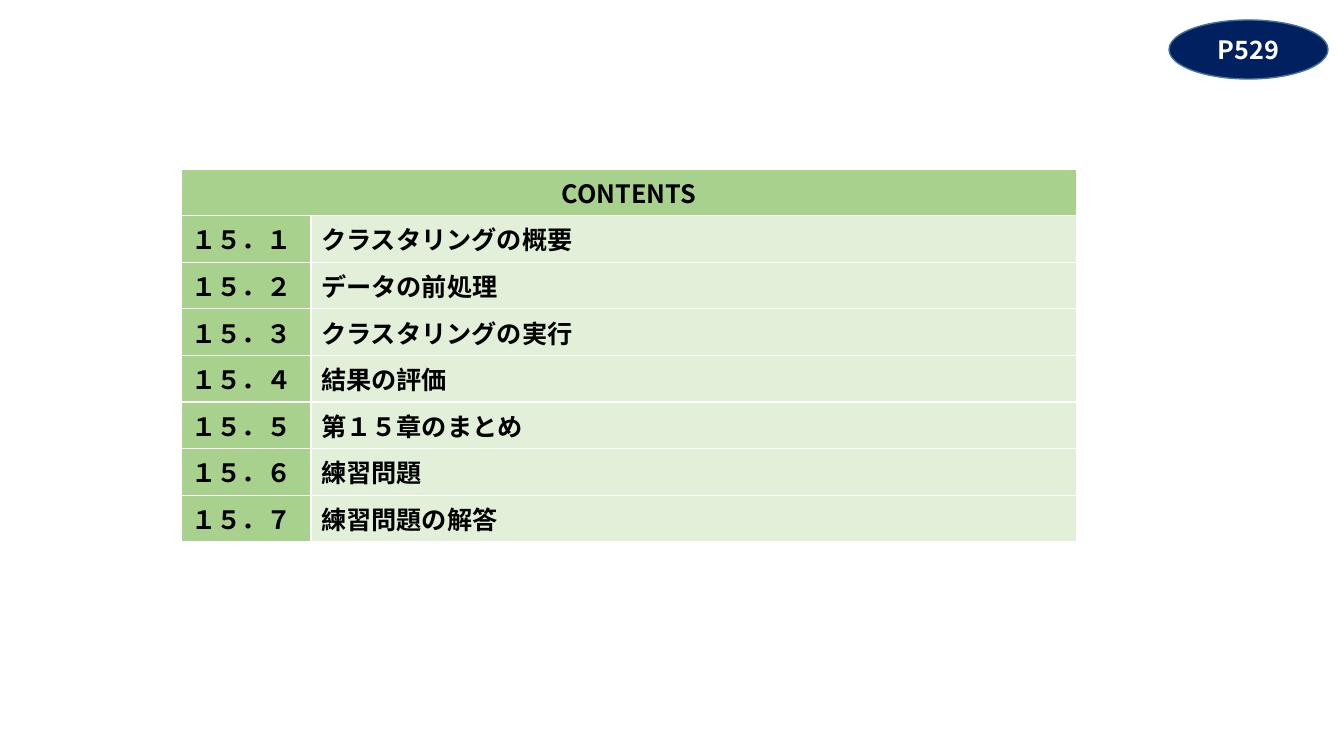
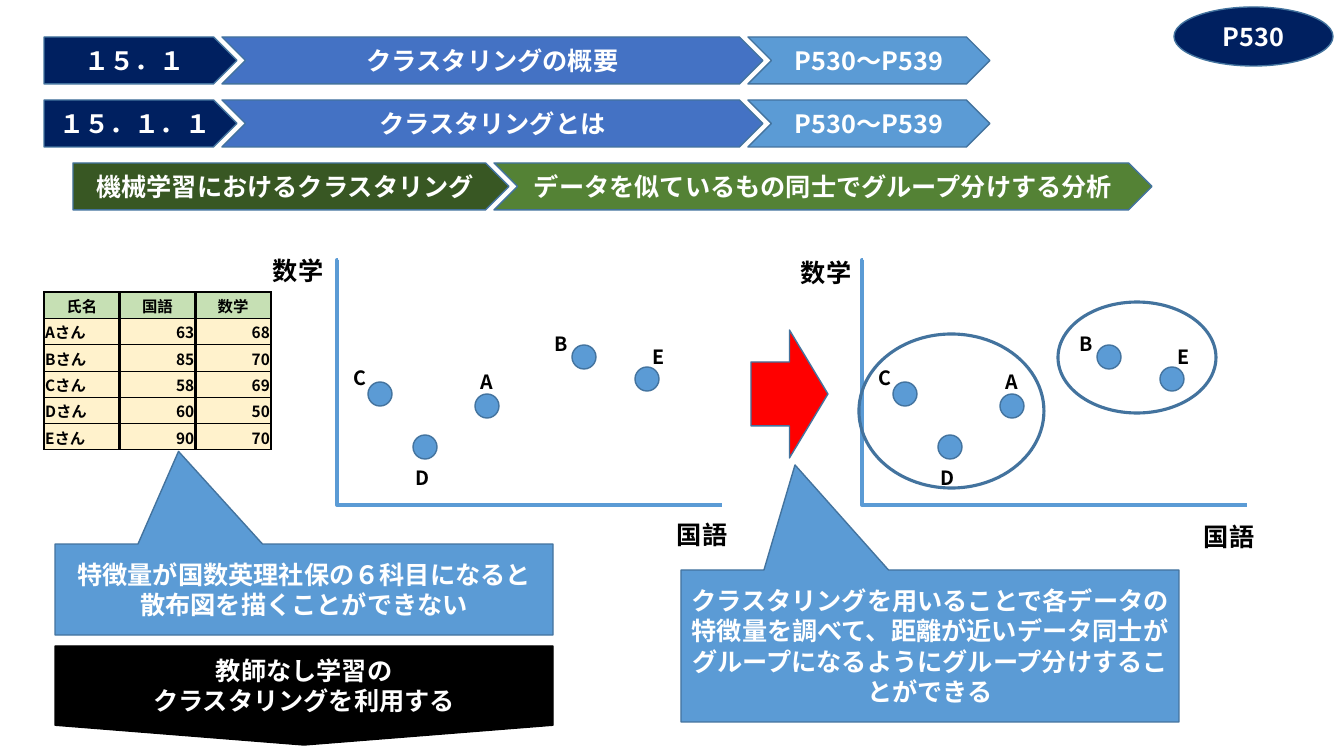
from lxml.etree import SubElement
from pptx import Presentation
from pptx.dml.color import RGBColor
from pptx.enum.shapes import MSO_CONNECTOR, MSO_SHAPE
from pptx.enum.text import MSO_ANCHOR, MSO_AUTO_SIZE, PP_ALIGN
from pptx.oxml import parse_xml
from pptx.oxml.ns import nsdecls, qn
from pptx.util import Pt

FONT = "Noto Sans CJK JP"
WHITE = RGBColor(0xFF, 0xFF, 0xFF)
BLACK = RGBColor(0, 0, 0)
NAVY = RGBColor(0x00, 0x20, 0x60)
OUTLINE = RGBColor(0x43, 0x73, 0x9E)
BLUE = RGBColor(0x44, 0x72, 0xC4)
SKY = RGBColor(0x5B, 0x9B, 0xD5)
RED = RGBColor(0xFF, 0, 0)
FOREST = RGBColor(0x38, 0x57, 0x23)
GREEN = RGBColor(0x54, 0x82, 0x35)
LEAF = RGBColor(0xA9, 0xD1, 0x8E)
PALE_LEAF = RGBColor(0xE2, 0xF0, 0xD9)
HEADER_GREEN = RGBColor(0xC6, 0xE0, 0xB4)
CREAM = RGBColor(0xFF, 0xF2, 0xCC)


def wide(text):
    """Turn ASCII characters into their full-width forms."""
    return "".join(chr(ord(letter) + 0xFEE0) for letter in text)


# Contents slide
CONTENTS = [
    ("CONTENTS", ""),
    (wide("15.1"), "クラスタリングの概要"),
    (wide("15.2"), "データの前処理"),
    (wide("15.3"), "クラスタリングの実行"),
    (wide("15.4"), "結果の評価"),
    (wide("15.5"), f"第{wide('15')}章のまとめ"),
    (wide("15.6"), "練習問題"),
    (wide("15.7"), "練習問題の解答"),
]

# Clustering slide: left edge, top edge, then (text, width, colour) of each band
PAGES = f"P530{wide('~')}P539"
BANDS = [
    (44, 37, [(wide("15.1"), 193, NAVY), ("クラスタリングの概要", 541, BLUE),
              (PAGES, 242, SKY)]),
    (44, 100, [(wide("15.1.1"), 193, NAVY), ("クラスタリングとは", 541, BLUE),
               (PAGES, 242, SKY)]),
    (73, 163, [("機械学習におけるクラスタリング", 436, FOREST),
               ("データを似ているもの同士でグループ分けする分析", 658, GREEN)]),
]
BAND_HEIGHT, BAND_OVERLAP = 47, 15
SCORES = [
    ("氏名", "国語", "数学"),
    ("Aさん", "63", "68"),
    ("Bさん", "85", "70"),
    ("Cさん", "58", "69"),
    ("Dさん", "60", "50"),
    ("Eさん", "90", "70"),
]
# Student: dot corner, label corner, both in the left plot
STUDENTS = {
    "A": ((475, 394), (471, 365)),
    "B": ((572, 345), (545, 327)),
    "C": ((368, 382), (344, 361)),
    "D": ((413, 435), (406, 461)),
    "E": ((635, 367), (643, 340)),
}
# Shift of the plot, corner of the 数学 title, corner of the 国語 title
PLOTS = [(0, (263, 250), (667, 514)), (525, (791, 252), (1194, 516))]
CLUSTERS = [(859, 334, 185, 154), (1058, 302, 158, 111)]
CALLOUTS = [
    ((681, 570, 498, 152), (-0.271, -1.191),
     "クラスタリングを用いることで各データの特徴量を調べて、距離が近いデータ同士が"
     "グループになるようにグループ分けすることができる"),
    ((55, 544, 498, 91), (-0.252, -1.518),
     f"特徴量が国数英理社保の{wide('6')}科目になると散布図を描くことができない"),
]
CONCLUSION = "教師なし学習の\nクラスタリングを利用する"


def px(length):
    """Turn pixels into EMU."""
    return round(length * 914400 / 100.8)


def write(frame, text, size=18, color=WHITE, align=PP_ALIGN.CENTER):
    """Put bold text into a frame, one paragraph per line."""
    frame.text = text
    for para in frame.paragraphs:
        para.alignment = align
        for span in para.runs:
            font = span.font
            font.size, font.bold, font.name = Pt(size), True, FONT
            font.color.rgb = color
            east_asian = SubElement(span._r.rPr, qn("a:ea"))
            east_asian.set("typeface", FONT)


def add_shape(page, kind, area, fill=None, text="", line=OUTLINE, weight=1, adjust=()):
    """Draw a preset shape with centred text."""
    shape = page.shapes.add_shape(kind, *map(px, area))
    shape.shadow.inherit = False
    if fill is None:
        shape.fill.background()
    else:
        shape.fill.solid()
        shape.fill.fore_color.rgb = fill
    shape.line.color.rgb = line
    shape.line.width = Pt(weight)
    for index, value in enumerate(adjust):
        shape.adjustments[index] = value
    if text:
        shape.text_frame.word_wrap = True
        shape.text_frame.vertical_anchor = MSO_ANCHOR.MIDDLE
        write(shape.text_frame, text)


def add_label(page, corner, size, text, points):
    """Add a black text label."""
    box = page.shapes.add_textbox(*map(px, corner + size))
    box.text_frame.word_wrap = True
    box.text_frame.auto_size = MSO_AUTO_SIZE.SHAPE_TO_FIT_TEXT
    write(box.text_frame, text, points, BLACK, PP_ALIGN.LEFT)


def add_badge(page, left, top, text):
    """Draw the page-number ellipse."""
    add_shape(page, MSO_SHAPE.OVAL, (left, top, 159, 59), NAVY, text)


def add_grid(page, left, top, widths, height, count):
    """Add a plain table with equal rows and no banding."""
    frame = page.shapes.add_table(count, len(widths), px(left), px(top),
                                  px(sum(widths)), px(height))
    table = frame.table
    table.first_row = table.horz_banding = False
    for column, width in zip(table.columns, widths):
        column.width = px(width)
    for row in table.rows:
        row.height = px(height / count)
    return table


def paint_cell(cell, fill, color, borders):
    """Fill a cell and draw its left, right, top and bottom borders."""
    cell.fill.solid()
    cell.fill.fore_color.rgb = fill
    for index, (side, weight) in enumerate(zip("LRTB", borders)):
        border = parse_xml(
            f'<a:ln{side} {nsdecls("a")} w="{Pt(weight)}"><a:solidFill>'
            f'<a:srgbClr val="{color}"/></a:solidFill></a:ln{side}>')
        cell._tc.get_or_add_tcPr().insert(index, border)


def add_contents(page):
    """Build the table of contents."""
    table = add_grid(page, 181, 169, (130, 766), 327, len(CONTENTS))
    table.cell(0, 0).merge(table.cell(0, 1))
    for row, texts in enumerate(CONTENTS):
        for column, text in enumerate(texts):
            cell = table.cell(row, column)
            strong = row == 0 or column == 0
            paint_cell(cell, LEAF if strong else PALE_LEAF, WHITE, (1, 1, 1, 1))
            if text:
                write(cell.text_frame, text, 18, BLACK,
                      PP_ALIGN.LEFT if row else PP_ALIGN.CENTER)


def add_scores(page):
    """Build the table of test scores."""
    table = add_grid(page, 44, 292, [227 / 3] * 3, 158, len(SCORES))
    last_row, last_column = len(SCORES) - 1, len(SCORES[0]) - 1
    for row, texts in enumerate(SCORES):
        for column, text in enumerate(texts):
            cell = table.cell(row, column)
            borders = (2 if column else 1, 1 if column == last_column else 2,
                       0.5 if row else 1, 1 if row == last_row else 0.5)
            paint_cell(cell, CREAM if row else HEADER_GREEN, BLACK, borders)
            cell.margin_left = cell.margin_right = cell.margin_top = px(1)
            cell.margin_bottom = 0
            cell.vertical_anchor = MSO_ANCHOR.MIDDLE
            align = PP_ALIGN.RIGHT if column else PP_ALIGN.LEFT
            write(cell.text_frame, text, 11, BLACK, align if row else PP_ALIGN.CENTER)


def add_bands(page, left, top, bands):
    """Chain a pentagon and chevrons from left to right."""
    kind = MSO_SHAPE.PENTAGON
    for text, width, color in bands:
        add_shape(page, kind, (left, top, width, BAND_HEIGHT), color, text)
        left += width - BAND_OVERLAP
        kind = MSO_SHAPE.CHEVRON


def add_plot(page, shift):
    """Draw the axes, dots and labels of one scatter plot."""
    axes = page.shapes.add_connector(MSO_CONNECTOR.ELBOW, px(338 + shift), px(260),
                                     px(722 + shift), px(505))
    axes.line.color.rgb = SKY
    axes.line.width = Pt(3)
    properties = axes._element.spPr
    SubElement(properties, qn("a:effectLst"))
    guides = properties.find(qn("a:prstGeom")).get_or_add_avLst()
    guide = SubElement(guides, qn("a:gd"))
    guide.set("name", "adj1")
    guide.set("fmla", "val -200")
    for name, ((dot_x, dot_y), (label_x, label_y)) in STUDENTS.items():
        add_shape(page, MSO_SHAPE.OVAL, (dot_x + shift, dot_y, 24, 24), SKY)
        add_label(page, (label_x + shift, label_y), (47, 34), name, 14)


def build_contents_slide(page):
    """Fill the contents slide."""
    add_contents(page)
    add_badge(page, 1169, 20, "P529")


def build_clustering_slide(page):
    """Fill the slide that explains clustering."""
    for left, top, bands in BANDS:
        add_bands(page, left, top, bands)
    add_badge(page, 1174, 7, "P530")
    add_scores(page)
    for shift, math_corner, language_corner in PLOTS:
        add_plot(page, shift)
        add_label(page, math_corner, (83, 40), "数学", 18)
        add_label(page, language_corner, (83, 40), "国語", 18)
    for area in CLUSTERS:
        add_shape(page, MSO_SHAPE.OVAL, area, weight=2.25)
    add_shape(page, MSO_SHAPE.RIGHT_ARROW, (751, 330, 77, 128), RED)
    for area, tip, text in CALLOUTS:
        add_shape(page, MSO_SHAPE.RECTANGULAR_CALLOUT, area, SKY, text, adjust=tip)
    add_shape(page, MSO_SHAPE.FLOWCHART_OFFPAGE_CONNECTOR, (55, 646, 498, 99),
              BLACK, CONCLUSION, line=BLACK)


deck = Presentation()
deck.slide_width, deck.slide_height = px(1344), px(756)
for build in (build_contents_slide, build_clustering_slide):
    build(deck.slides.add_slide(deck.slide_layouts[6]))
deck.save("out.pptx")
